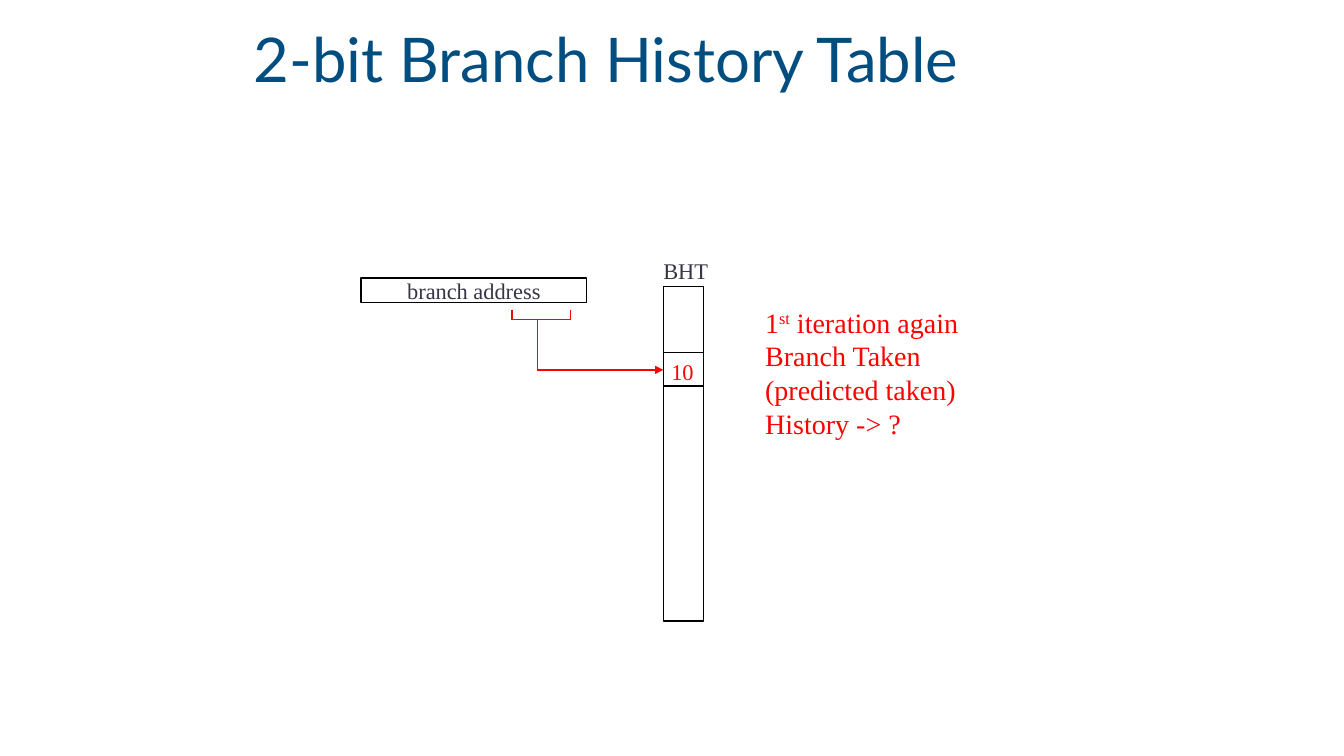
from pptx import Presentation, util as u
from pptx.dml.color import RGBColor
from pptx.enum import shapes, text
from pptx.oxml.ns import qn
from lxml import etree

I = u.Inches
COLORS = {"title": "004D80", "ink": "373545", "red": "FF0000", "black": "000000"}
SERIF = "Times New Roman"

# Content: box, paragraphs of (text, baseline) runs, format
LABELS = [
    ((2.42, 0, 8.5, 1.25), [[("2-bit Branch History Table", 0)]],
     dict(size=44, name="Lato", color="title", wrap=True, spacing=0.9, middle=True)),
    ((6.56, 3.5, 0.42, 0.37), [[("10", 0)]], dict(size=16, color="red")),
    ((6.48, 2.5, 0.65, 0.37), [[("BHT", 0)]], dict(size=16, color="ink")),
    ((7.49, 2.98, 2.15, 1.45),
     [[("1", 0), ("st", 30000), (" iteration again", 0)],
      [("Branch Taken", 0)], [("(predicted taken)", 0)], [("History -> ?", 0)]],
     dict(size=20, color="red")),
]
ADDRESS = (3.58, 2.76, 2.24, 0.24)
TABLE = (6.58, 2.84, 0.4, 3.32)
ENTRY_ROWS = (3.5, 3.83)
BRACKET = [(5.08, 3.08), (5.08, 3.17), (5.66, 3.17), (5.66, 3.08)]
INDEX_PATH = [(5.33, 3.17), (5.33, 3.67), (6.58, 3.67)]

prs = Presentation()
prs.slide_width, prs.slide_height = I(13.33), I(7.5)
s = prs.slides.add_slide(prs.slide_layouts[6])


def rgb(key):
    return RGBColor.from_string(COLORS[key])


def write(sp, paragraphs, size, color, name=SERIF, wrap=False, spacing=None,
          middle=False, align=None):
    tf = sp.text_frame
    tf.word_wrap = wrap
    tf.vertical_anchor = text.MSO_ANCHOR.MIDDLE if middle else text.MSO_ANCHOR.TOP
    for i, runs in enumerate(paragraphs):
        p = tf.add_paragraph() if i else tf.paragraphs[0]
        p.line_spacing, p.alignment = spacing, align
        for words, baseline in runs:
            r = p.add_run()
            r.text = words
            for key, value in dict(size=u.Pt(size), name=name).items():
                setattr(r.font, key, value)
            r.font.color.rgb = rgb(color)
            if baseline:
                r.font._element.set("baseline", str(baseline))


def outline_box(box):
    sp = s.shapes.add_shape(shapes.MSO_SHAPE.RECTANGLE, *map(I, box))
    sp.shadow.inherit = False
    sp.fill.background()
    sp.line.color.rgb, sp.line.width = rgb("black"), u.Pt(1)
    return sp


def polyline(points, color, arrow=False):
    for start, end in zip(points, points[1:]):
        line = s.shapes.add_connector(shapes.MSO_CONNECTOR.STRAIGHT, *map(I, start + end))
        line.line.color.rgb, line.line.width = rgb(color), u.Pt(1)
        etree.SubElement(line._element.spPr, qn("a:effectLst"))
    if arrow:
        etree.SubElement(line.line._get_or_add_ln(), qn("a:tailEnd"), type="triangle")


# Branch address and its index bits
write(outline_box(ADDRESS), [[("branch address", 0)]], 16, "ink",
      middle=True, align=text.PP_ALIGN.CENTER)
polyline(BRACKET, "red")
polyline(INDEX_PATH, "red", arrow=True)

# History table with the selected entry
outline_box(TABLE)
for y in ENTRY_ROWS:
    polyline([(TABLE[0], y), (TABLE[0] + TABLE[2], y)], "black")

# Title, table labels and commentary
for box, paragraphs, fmt in LABELS:
    write(s.shapes.add_textbox(*map(I, box)), paragraphs, **fmt)

prs.save("out.pptx")
